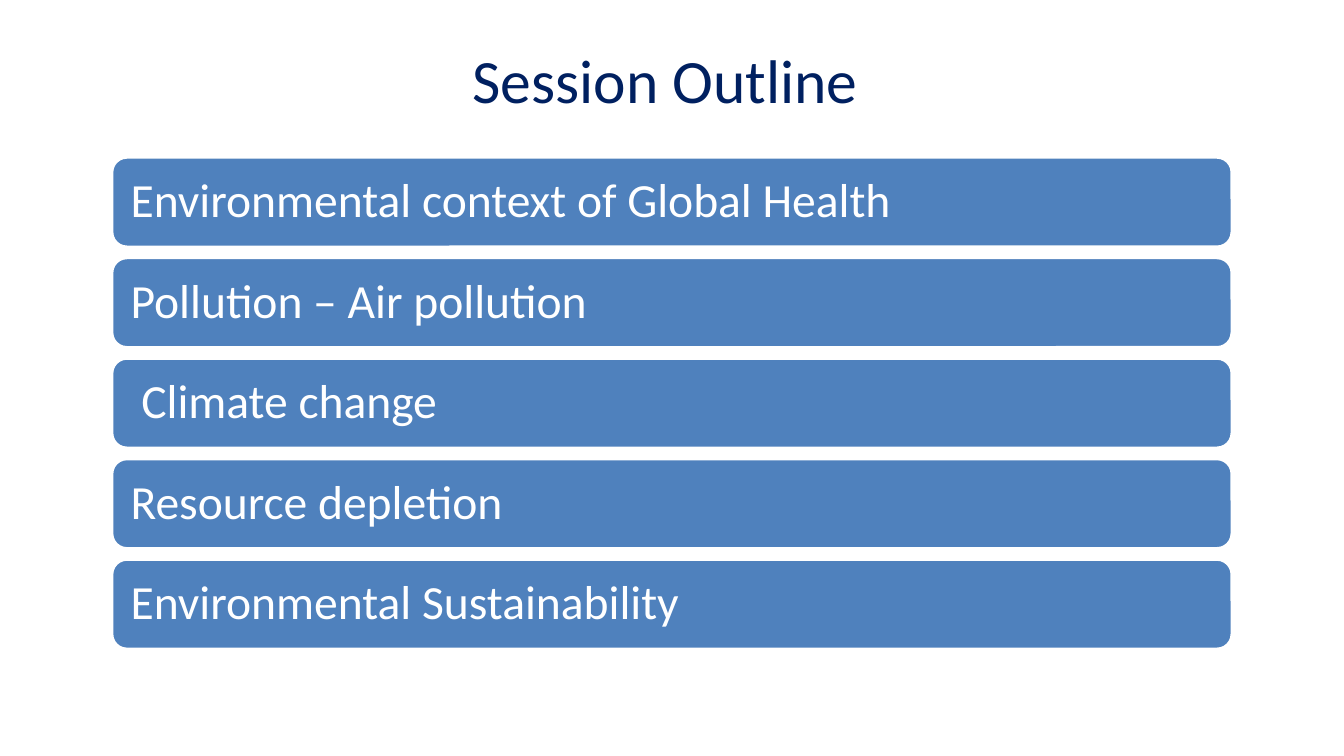
"""Build the session outline slide: a title above five topic bars."""
import pptx
import pptx.util
import pptx.dml.color
import pptx.enum.shapes
import pptx.enum.text

Pt = pptx.util.Pt
RGB = pptx.dml.color.RGBColor.from_string
ALIGN = pptx.enum.text.PP_ALIGN

THEME = {
    "font": "Calibri",
    "navy": RGB("002060"),
    "blue": RGB("4F81BD"),
    "white": RGB("FFFFFF"),
    "title_size": Pt(44),
    "topic_size": Pt(34),
}
TOPICS = [
    "Environmental context of Global Health",
    "Pollution – Air pollution",
    " Climate change",
    "Resource depletion",
    "Environmental Sustainability",
]
BAR_LEFT, BAR_TOP, BAR_WIDTH, BAR_HEIGHT, BAR_PITCH = 80, 112.4, 800, 64, 71.8
BAR_INSET = Pt(10.2)


def apply_format(target, values):
    """Set each named attribute of the target."""
    for name, value in values.items():
        setattr(target, name, value)


def write_line(holder, text, align, size, color):
    """Write one vertically centred line of text."""
    apply_format(holder.text_frame, {
        "text": text,
        "word_wrap": True,
        "vertical_anchor": pptx.enum.text.MSO_ANCHOR.MIDDLE,
    })
    paragraph = holder.text_frame.paragraphs[0]
    paragraph.alignment = align
    apply_format(paragraph.runs[0].font, {"name": THEME["font"], "size": size})
    paragraph.runs[0].font.color.rgb = color
    return paragraph


deck = pptx.Presentation()
apply_format(deck, {"slide_width": Pt(960), "slide_height": Pt(540)})
outline = deck.slides.add_slide(deck.slide_layouts[6])

heading = outline.shapes.add_textbox(Pt(20.9), Pt(8.6), Pt(908.6), Pt(95.8))
write_line(heading, "Session Outline", ALIGN.CENTER, THEME["title_size"], THEME["navy"])

for position, topic in enumerate(TOPICS):
    bar = outline.shapes.add_shape(
        pptx.enum.shapes.MSO_SHAPE.ROUNDED_RECTANGLE,
        Pt(BAR_LEFT), Pt(BAR_TOP + position * BAR_PITCH), Pt(BAR_WIDTH), Pt(BAR_HEIGHT),
    )
    bar.shadow.inherit = False
    bar.fill.solid()
    bar.fill.fore_color.rgb = THEME["blue"]
    bar.line.color.rgb = THEME["white"]
    bar.line.width = Pt(2)
    sides = ("left", "top", "right", "bottom")
    apply_format(bar.text_frame, {f"margin_{side}": BAR_INSET for side in sides})
    label = write_line(bar, topic, ALIGN.LEFT, THEME["topic_size"], THEME["white"])
    label.line_spacing = 0.9

deck.save("out.pptx")
